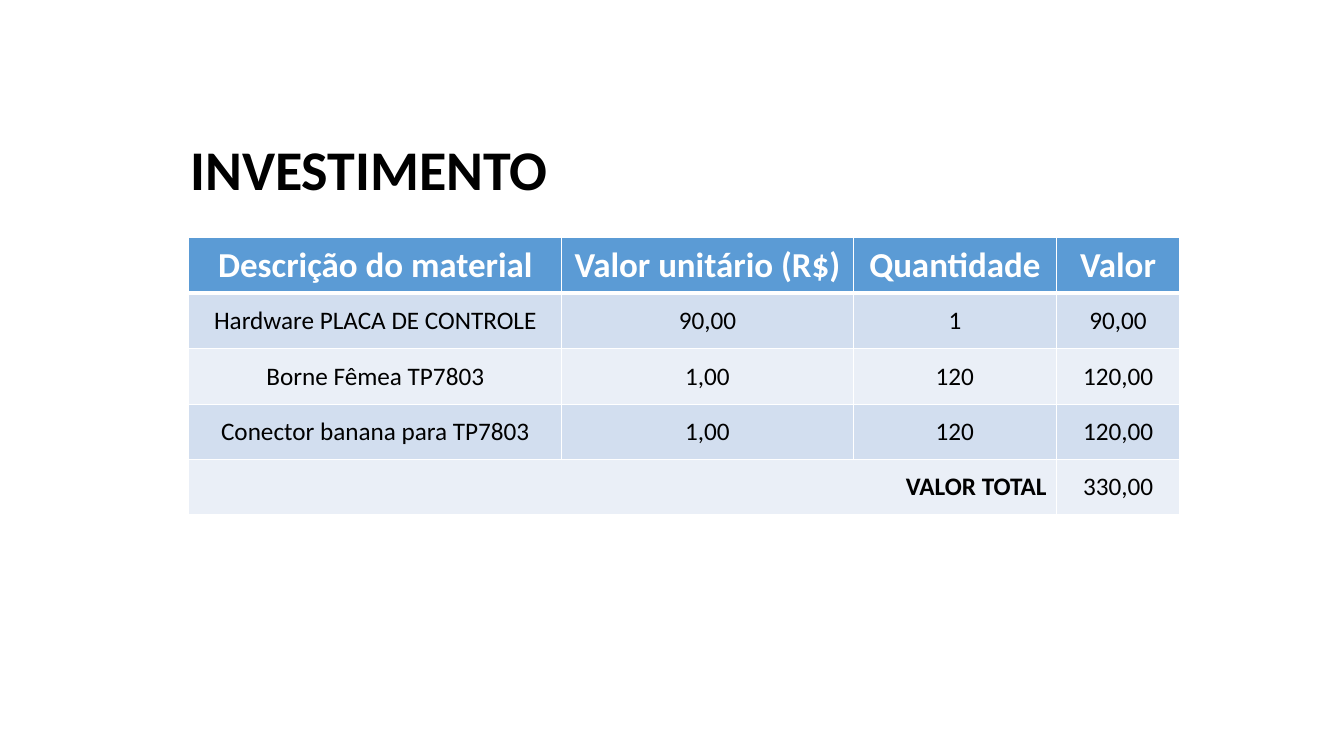
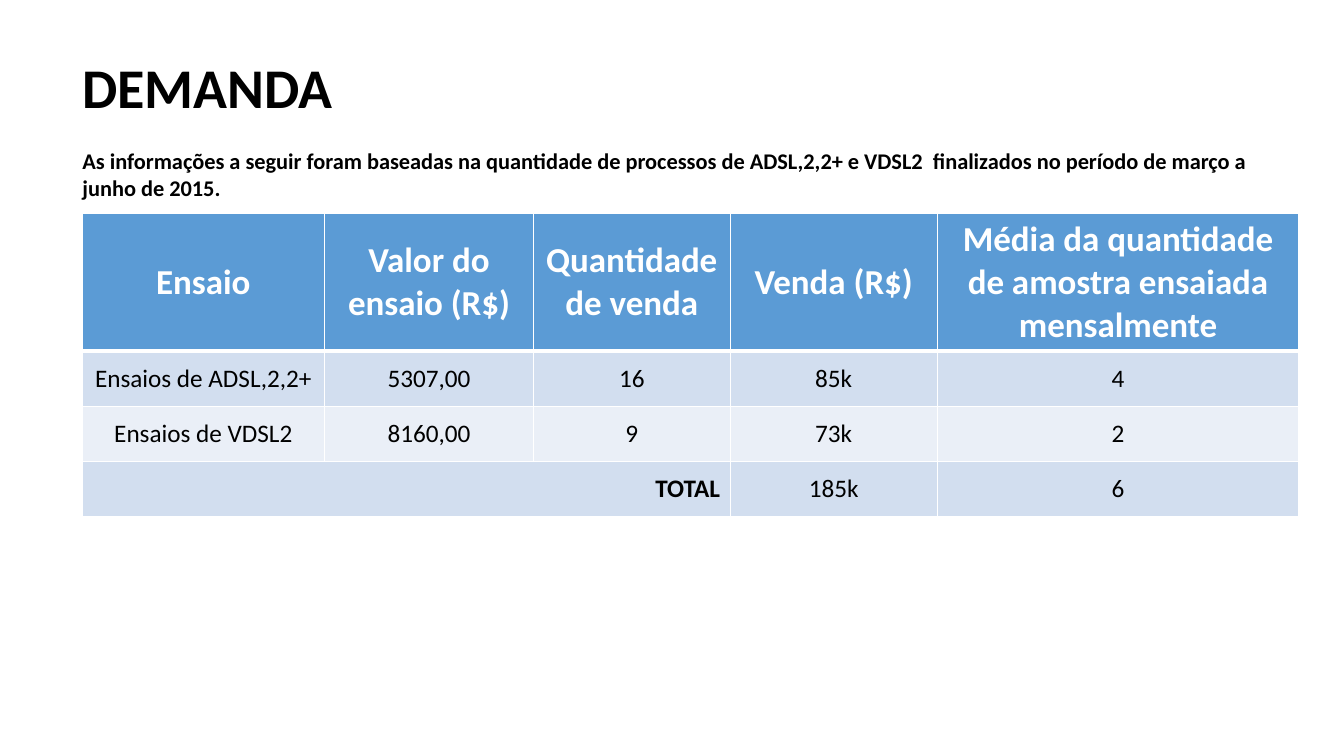
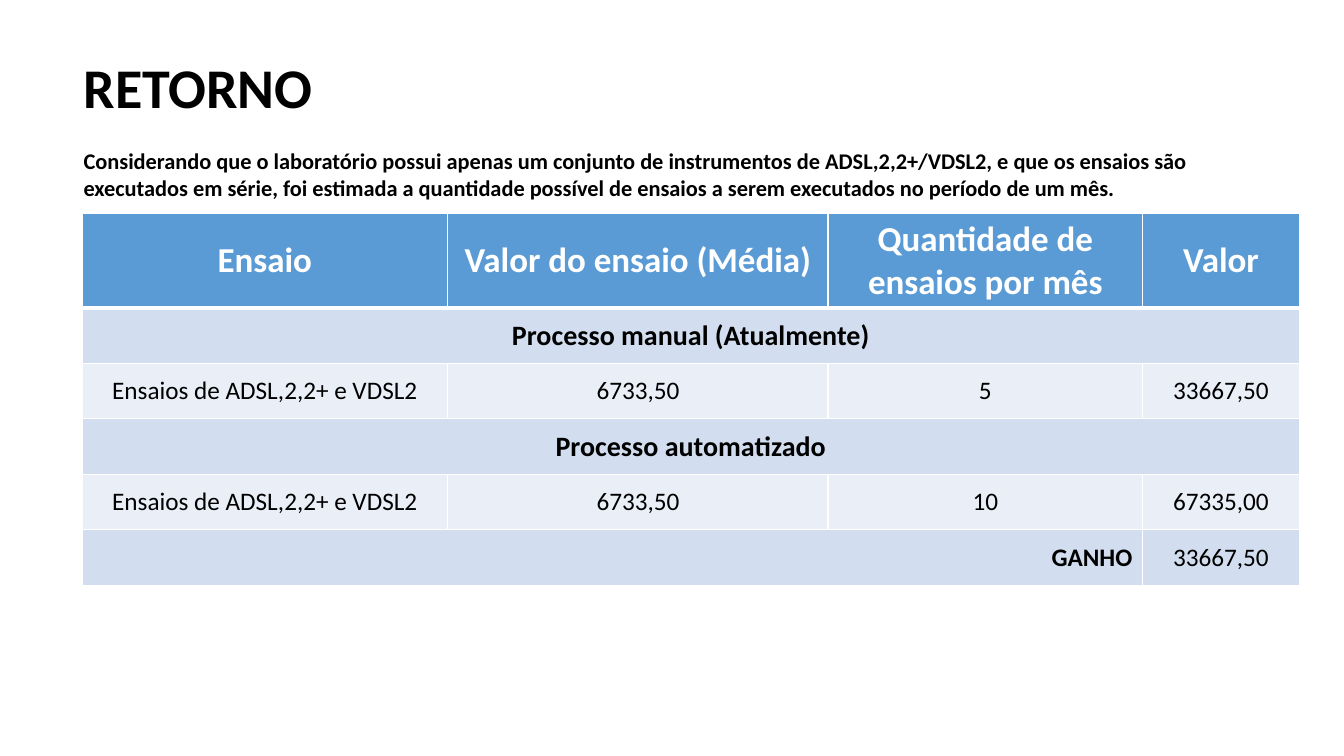
from pptx import Presentation
from pptx.dml.color import RGBColor as RGB
from pptx.enum.text import MSO_ANCHOR as Anchor, MSO_AUTO_SIZE as Fit, PP_ALIGN as Align
from pptx.oxml import parse_xml
from pptx.util import Pt

WHITE = RGB(0xFF, 0xFF, 0xFF)
BLACK = RGB(0, 0, 0)
BLUE = RGB(0x5B, 0x9B, 0xD5)
BANDS = [RGB(0xEA, 0xEF, 0xF7), RGB(0xD2, 0xDE, 0xEF)]
NS = "http://schemas.openxmlformats.org/drawingml/2006/main"
ROW = 39.6

FORMS = {
    "title": {"size": Pt(40), "bold": True},
    "note": {"size": Pt(16), "bold": True},
    "head": {"size": Pt(25), "bold": True},
    "group": {"size": Pt(20), "bold": True},
    "total": {"size": Pt(18), "bold": True},
    "body": {"size": Pt(18), "bold": False},
}


def write(para, text, form, color=BLACK, align=Align.LEFT):
    para.alignment = align
    run = para.add_run()
    run.text = text
    for key, value in FORMS[form].items():
        setattr(run.font, key, value)
    run.font.name = "Calibri"
    run.font.color.rgb = color


def paint(cell, color, top, base):
    props = cell._tc.get_or_add_tcPr()
    for side, width in {"L": 1, "R": 1, "T": top, "B": base}.items():
        props.append(parse_xml(
            f'<a:ln{side} xmlns:a="{NS}" w="{Pt(width)}"><a:solidFill>'
            f'<a:srgbClr val="{WHITE}"/></a:solidFill></a:ln{side}>'))
    cell.fill.solid()
    cell.fill.fore_color.rgb = color
    cell.vertical_anchor = Anchor.MIDDLE


TEST = "Ensaios de ADSL,2,2+ e VDSL2"
PAGES = [
    {
        "title": "INVESTIMENTO",
        "note": "",
        "box": (128.9, 92.9, 272.2, 55.4),
        "at": (134.9, 169.9),
        "cols": [266.4, 208.1, 145.4, 87.8],
        "head": ROW,
        "rows": [
            ["Descrição do material", "Valor unitário (R$)", "Quantidade", "Valor"],
            ["Hardware PLACA DE CONTROLE", "90,00", "1", "90,00"],
            ["Borne Fêmea TP7803", "1,00", "120", "120,00"],
            ["Conector banana para TP7803", "1,00", "120", "120,00"],
            ["VALOR TOTAL", "330,00"],
        ],
    },
    {
        "title": "DEMANDA",
        "note": "As informações a seguir foram baseadas na quantidade de processos de "
                "ADSL,2,2+ e VDSL2  finalizados no período de março a junho de 2015.",
        "box": (51.8, 33.8, 874.8, 113.8),
        "at": (58.5, 152.6),
        "cols": [173.5, 149, 140.6, 147.8, 258.5],
        "head": 97.9,
        "rows": [
            ["Ensaio", "Valor do ensaio (R$)", "Quantidade de venda", "Venda (R$)",
             "Média da quantidade de amostra ensaiada mensalmente"],
            ["Ensaios de ADSL,2,2+", "5307,00", "16", "85k", "4"],
            ["Ensaios de VDSL2", "8160,00", "9", "73k", "2"],
            ["TOTAL", "185k", "6"],
        ],
    },
    {
        "title": "RETORNO",
        "note": "Considerando que o laboratório possui apenas um conjunto de instrumentos de "
                "ADSL,2,2+/VDSL2, e que os ensaios são executados em série, foi estimada a "
                "quantidade possível de ensaios a serem executados no período de um mês.",
        "box": (52.6, 33.8, 872.6, 113.8),
        "at": (58.5, 152.6),
        "cols": [261.4, 271.6, 224.6, 112.2],
        "head": 67.4,
        "rows": [
            ["Ensaio", "Valor do ensaio (Média)", "Quantidade de ensaios por mês", "Valor"],
            ["Processo manual (Atualmente)"],
            [TEST, "6733,50", "5", "33667,50"],
            ["Processo automatizado"],
            [TEST, "6733,50", "10", "67335,00"],
            ["GANHO", "33667,50"],
        ],
    },
]

deck = Presentation()
deck.slide_width, deck.slide_height = Pt(960), Pt(540)

for page in PAGES:
    slide = deck.slides.add_slide(deck.slide_layouts[6])
    rows, cols = page["rows"], page["cols"]
    tall = page["head"] + ROW * (len(rows) - 1)
    place = [Pt(n) for n in (*page["at"], sum(cols), tall)]
    table = slide.shapes.add_table(len(rows), len(cols), *place).table
    for col, width in zip(table.columns, cols):
        col.width = Pt(width)
    for r, texts in enumerate(rows):
        table.rows[r].height = Pt(ROW if r else page["head"])
        for cell in table.rows[r].cells:
            paint(cell, BANDS[r % 2] if r else BLUE, 3 if r == 1 else 1, 1 if r else 3)
        span = len(cols) - len(texts)
        if span:
            table.cell(r, 0).merge(table.cell(r, span))
        for c, text in enumerate(texts):
            form, color, align = "body", BLACK, Align.CENTER
            if r == 0:
                form, color = "head", WHITE
            elif len(texts) == 1:
                form = "group"
            elif span and c == 0:
                form, align = "total", Align.RIGHT
            cell = table.cell(r, c + span if c else 0)
            write(cell.text_frame.paragraphs[0], text, form, color, align)

    frame = slide.shapes.add_textbox(*[Pt(n) for n in page["box"]]).text_frame
    frame.word_wrap = bool(page["note"])
    frame.auto_size = Fit.SHAPE_TO_FIT_TEXT
    write(frame.paragraphs[0], page["title"], "title")
    if page["note"]:
        para = frame.add_paragraph()
        para.space_before = Pt(19.5)
        write(para, page["note"], "note")

deck.save("out.pptx")
